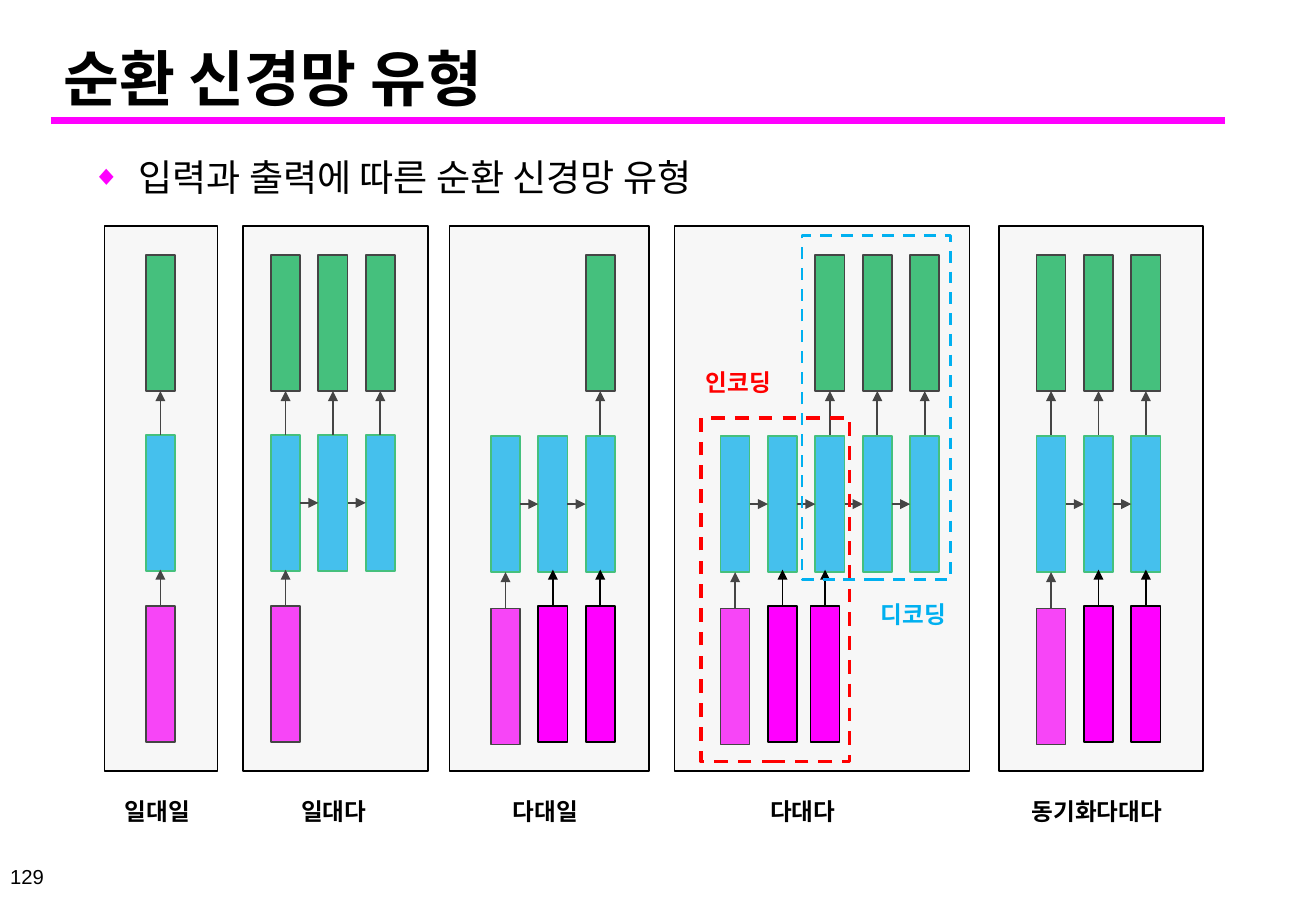
"""Build a slide comparing recurrent network types by input and output."""
from dataclasses import dataclass

from lxml import etree
from pptx import Presentation
from pptx import util as u
from pptx.dml import color
from pptx.enum import dml, shapes, text
from pptx.oxml import ns

COLORS = {
    "ink": "000000",
    "accent": "FF00FF",
    "output": "00B050",
    "hidden": "00B0F0",
    "input": "FF00FF",
    "panel": "E7E7E7",
    "encoder": "FF0000",
    "decoder": "00B0F0",
}
FONT = "Arial"
CELL_WIDTH, CELL_HEIGHT, PITCH = 0.24, 1.12, 0.39
OUTPUT_TOP, LATER_INPUT_TOP = 2.1, 4.99
PANEL_TOP, PANEL_HEIGHT = 1.86, 4.49
LABEL_TOP, LABEL_WIDTH, LABEL_HEIGHT = 6.51, 0.87, 0.34


@dataclass(frozen=True)
class Network:
    """One network type with its panel, cells and label."""

    name: str
    panel_left: float
    panel_width: float
    first_left: float
    hidden_top: float
    input_top: float
    hidden_count: int
    output_columns: tuple[int, ...]
    later_inputs: tuple[float, ...]
    label_left: float
    label_width: float = LABEL_WIDTH


@dataclass(frozen=True)
class Stage:
    """A dashed region with its caption."""

    name: str
    color: str
    left: float
    top: float
    line_width: float
    name_left: float
    name_top: float


NETWORKS = (
    Network("일대일", 0.86, 0.93, 1.2, 3.58, 4.99, 1, (0,), (), 0.93),
    Network("일대다", 2, 1.52, 2.23, 3.58, 4.99, 3, (0, 1, 2), (), 2.38),
    Network("다대일", 3.7, 1.64, 4.04, 3.59, 5.01, 3, (2,), (4.43, 4.82), 4.12),
    Network("다대다", 5.55, 2.43, 5.93, 3.59, 5.01, 5, (2, 3, 4), (6.32, 6.67), 6.24),
    Network("동기화다대다", 8.22, 1.68, 8.53, 3.59, 5.01, 3, (0, 1, 2), (8.92, 9.31), 8.39, 1.51),
)
STAGES = (
    Stage("인코딩", "encoder", 5.77, 3.44, 2, 5.71, 2.98),
    Stage("디코딩", "decoder", 6.6, 1.94, 1.75, 7.15, 4.89),
)


def rgb(name: str) -> color.RGBColor:
    """Look up a colour by its role."""
    return color.RGBColor.from_string(COLORS[name])


def place(item, left: float, top: float, width: float, height: float) -> None:
    """Move and size a placeholder."""
    item.left, item.top = u.Inches(left), u.Inches(top)
    item.width, item.height = u.Inches(width), u.Inches(height)


def write(frame, words: str, size: float, ink: str = "ink", bold: bool = False):
    """Set the words of a frame and return its paragraph."""
    frame.text = words
    paragraph = frame.paragraphs[0]
    for run in paragraph.runs:
        run.font.name = FONT
        run.font.size = u.Pt(size)
        run.font.bold = bold
        run.font.color.rgb = rgb(ink)
    return paragraph


def add_box(slide, left: float, top: float, width: float, height: float,
            fill: str | None, line: str, line_width: float = 1):
    """Draw a rectangle, unfilled when no fill is given."""
    box = slide.shapes.add_shape(
        shapes.MSO_SHAPE.RECTANGLE,
        u.Inches(left), u.Inches(top), u.Inches(width), u.Inches(height))
    box.shadow.inherit = False
    if fill:
        box.fill.solid()
        box.fill.fore_color.rgb = rgb(fill)
    else:
        box.fill.background()
    box.line.color.rgb = rgb(line)
    box.line.width = u.Pt(line_width)
    return box


def add_line(slide, start: tuple[float, float], end: tuple[float, float],
             ink: str = "ink", width: float = 1, arrow: bool = True) -> None:
    """Draw a straight line, with an arrowhead at its end by default."""
    line = slide.shapes.add_connector(
        shapes.MSO_CONNECTOR.STRAIGHT, *(u.Inches(value) for value in start + end))
    line.line.color.rgb = rgb(ink)
    line.line.width = u.Pt(width)
    if arrow:
        etree.SubElement(line.line._get_or_add_ln(), ns.qn("a:tailEnd"), type="triangle")
    etree.SubElement(line._element.spPr, ns.qn("a:effectLst"))


def add_cell(slide, left: float, top: float, role: str) -> None:
    """Draw one layer cell."""
    outline = "output" if role == "hidden" else "ink"
    add_box(slide, left, top, CELL_WIDTH, CELL_HEIGHT, role, outline)


def add_input(slide, left: float, top: float) -> None:
    """Draw an input cell and its arrow to the hidden layer."""
    add_cell(slide, left, top, "input")
    center = left + CELL_WIDTH / 2
    add_line(slide, (center, top), (center, top - 0.3))


def add_label(slide, words: str, left: float, top: float,
              width: float = LABEL_WIDTH, ink: str = "ink") -> None:
    """Draw a bold caption."""
    label = slide.shapes.add_textbox(
        u.Inches(left), u.Inches(top), u.Inches(width), u.Inches(LABEL_HEIGHT))
    label.text_frame.word_wrap = True
    label.text_frame.auto_size = text.MSO_AUTO_SIZE.SHAPE_TO_FIT_TEXT
    write(label.text_frame, words, 14, ink, bold=True)


def add_network(slide, network: Network) -> None:
    """Draw a network under its translucent panel, then its later inputs and label."""
    middle = network.hidden_top + CELL_HEIGHT / 2
    for column in range(network.hidden_count):
        left = network.first_left + column * PITCH
        add_cell(slide, left, network.hidden_top, "hidden")
        if column:
            add_line(slide, (left - PITCH + CELL_WIDTH, middle), (left, middle))
        if column in network.output_columns:
            add_cell(slide, left, OUTPUT_TOP, "output")
            center = left + CELL_WIDTH / 2
            add_line(slide, (center, 3.58), (center, OUTPUT_TOP + CELL_HEIGHT))
    add_input(slide, network.first_left, network.input_top)
    panel = add_box(slide, network.panel_left, PANEL_TOP, network.panel_width,
                    PANEL_HEIGHT, "panel", "ink")
    tint = panel._element.spPr.find(ns.qn("a:solidFill"))[0]
    etree.SubElement(tint, ns.qn("a:alpha"), val="30000")
    for left in network.later_inputs:
        add_input(slide, left, LATER_INPUT_TOP)
    add_label(slide, network.name, network.label_left, LABEL_TOP, network.label_width)


def add_stage(slide, stage: Stage) -> None:
    """Draw a dashed region and its caption."""
    region = add_box(slide, stage.left, stage.top, 1.22, 2.83, None, stage.color, stage.line_width)
    region.line.dash_style = dml.MSO_LINE.DASH
    add_label(slide, stage.name, stage.name_left, stage.name_top, ink=stage.color)


def add_heading(slide) -> None:
    """Fill the title and the bulleted topic, and rule a line below the title."""
    title, topic = slide.placeholders
    place(title, 0.42, 0.28, 9.58, 0.71)
    title.text_frame.vertical_anchor = text.MSO_ANCHOR.BOTTOM
    title.text_frame.auto_size = text.MSO_AUTO_SIZE.NONE
    write(title.text_frame, "순환 신경망 유형", 36, bold=True).alignment = text.PP_ALIGN.LEFT
    place(topic, 0.66, 1.15, 9.4, 0.55)
    topic.text_frame.auto_size = text.MSO_AUTO_SIZE.NONE
    paragraph = write(topic.text_frame, "입력과 출력에 따른 순환 신경망 유형", 22)
    paragraph.line_spacing = 1.2
    paragraph.space_before = u.Pt(0)
    layout = paragraph._p.get_or_add_pPr()
    layout.set("marL", str(u.Inches(0.38)))
    layout.set("indent", str(u.Inches(-0.38)))
    tint = etree.SubElement(layout, ns.qn("a:buClr"))
    etree.SubElement(tint, ns.qn("a:srgbClr"), val=COLORS["accent"])
    etree.SubElement(layout, ns.qn("a:buSzPct"), val="75000")
    etree.SubElement(layout, ns.qn("a:buChar"), char="◆")
    add_line(slide, (0.42, 0.99), (10.08, 0.99), "accent", 4, arrow=False)


def add_page_number(slide) -> None:
    """Write the page number in the lower left corner."""
    number = slide.shapes.add_textbox(
        u.Inches(-0.02), u.Inches(7.14), u.Inches(0.48), u.Inches(0.15))
    number.text_frame.word_wrap = False
    number.text_frame.vertical_anchor = text.MSO_ANCHOR.MIDDLE
    write(number.text_frame, "129", 12).alignment = text.PP_ALIGN.RIGHT


def main() -> None:
    """Build and save the slide."""
    deck = Presentation()
    deck.slide_width, deck.slide_height = u.Inches(10.83), u.Inches(7.5)
    slide = deck.slides.add_slide(deck.slide_layouts[1])
    add_heading(slide)
    for network in NETWORKS:
        add_network(slide, network)
    for stage in STAGES:
        add_stage(slide, stage)
    add_page_number(slide)
    deck.save("out.pptx")


if __name__ == "__main__":
    main()
